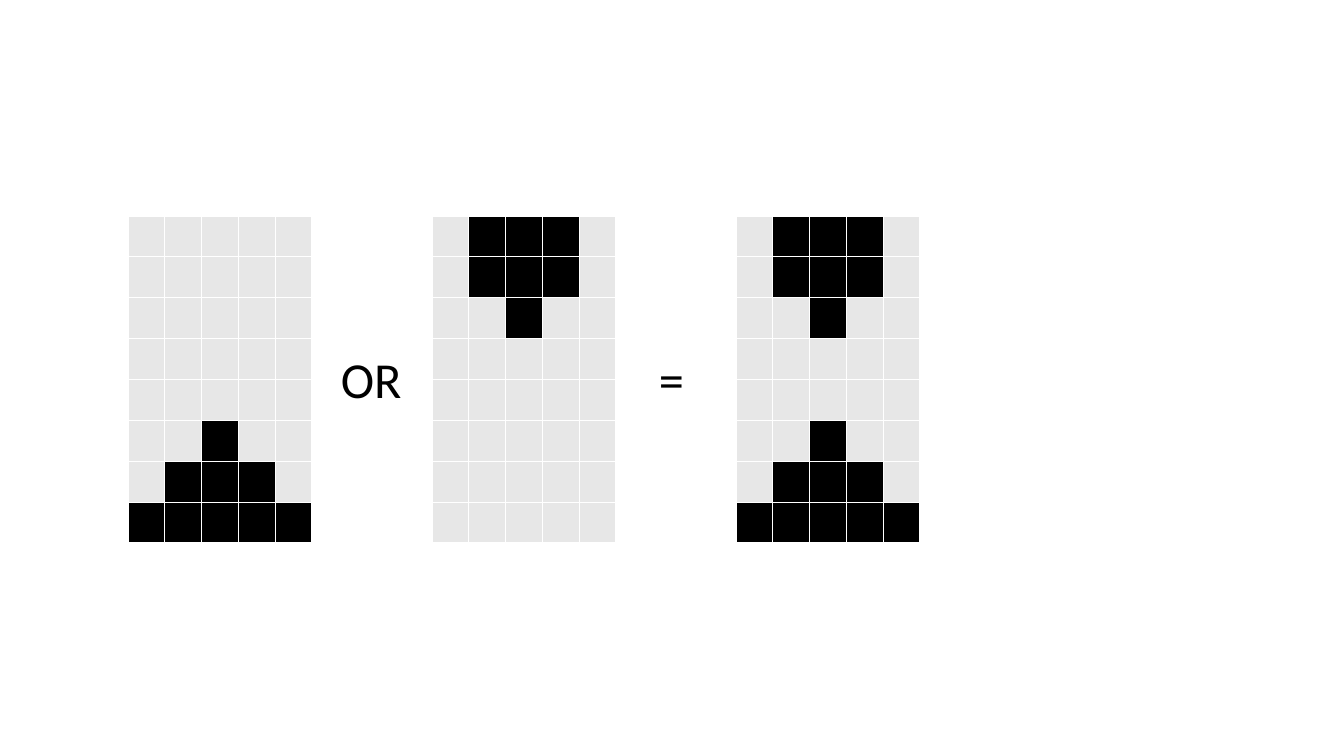
from lxml import etree
from pptx import Presentation
from pptx.dml.color import RGBColor
from pptx.enum.text import MSO_AUTO_SIZE
from pptx.oxml.ns import qn
from pptx.util import Emu, Pt

SCALE = 914400 / 100.8
BLACK = RGBColor(0x00, 0x00, 0x00)
GREY = RGBColor(0xE7, 0xE7, 0xE7)
WHITE = RGBColor(0xFF, 0xFF, 0xFF)
FIT_SHAPE = MSO_AUTO_SIZE.SHAPE_TO_FIT_TEXT
BLANK_LAYOUT = 6
BORDER_TAGS = ("a:lnL", "a:lnR", "a:lnT", "a:lnB")

GRID_TOP, GRID_WIDTH, GRID_HEIGHT = 216, 184, 324
FIRST_GRID, GRID_STEP = 128, 304
EMPTY_ROW = "....."
PYRAMID = [EMPTY_ROW] * 5 + ["..#..", ".###.", "#####"]
PIPE = [".###.", ".###.", "..#.."] + [EMPTY_ROW] * 5


def px(length):
    """Turn pixels into EMU."""
    return Emu(round(length * SCALE))


def combine(first, second):
    """Return the bitwise OR of two bitmaps."""
    return [
        "".join("#" if "#" in pair else "." for pair in zip(upper, lower))
        for upper, lower in zip(first, second)
    ]


def style_cell(cell, color):
    """Give a cell thin white borders and a solid fill."""
    properties = cell._tc.get_or_add_tcPr()
    for tag in BORDER_TAGS:
        line = etree.SubElement(properties, qn(tag), w=str(Pt(1)))
        fill = etree.SubElement(line, qn("a:solidFill"))
        etree.SubElement(fill, qn("a:srgbClr"), val=str(WHITE))
    cell.fill.solid()
    cell.fill.fore_color.rgb = color


def add_bitmap(page, left, bitmap):
    """Draw a bitmap as a table of black and grey cells."""
    row_count, column_count = len(bitmap), len(bitmap[0])
    table = page.shapes.add_table(
        row_count, column_count,
        px(left), px(GRID_TOP), px(GRID_WIDTH), px(GRID_HEIGHT),
    ).table
    for row_index, pixels in enumerate(bitmap):
        for column_index, pixel in enumerate(pixels):
            color = BLACK if pixel == "#" else GREY
            style_cell(table.cell(row_index, column_index), color)


def add_operator(page, left, width, text):
    """Place an operator between two bitmaps."""
    box = page.shapes.add_textbox(px(left), px(343), px(width), px(71))
    frame = box.text_frame
    frame.word_wrap = False
    frame.auto_size = FIT_SHAPE
    span = frame.paragraphs[0].add_run()
    span.text = text
    span.font.name = "Calibri"
    span.font.size = Pt(36)
    span.font.color.rgb = BLACK


def main():
    """Build the slide and save it."""
    deck = Presentation()
    deck.slide_width, deck.slide_height = px(1344), px(756)
    page = deck.slides.add_slide(deck.slide_layouts[BLANK_LAYOUT])
    bitmaps = [PYRAMID, PIPE, combine(PYRAMID, PIPE)]
    for index, bitmap in enumerate(bitmaps):
        add_bitmap(page, FIRST_GRID + index * GRID_STEP, bitmap)
    add_operator(page, 331, 82, "OR")
    add_operator(page, 649, 45, "=")
    deck.save("out.pptx")


main()
